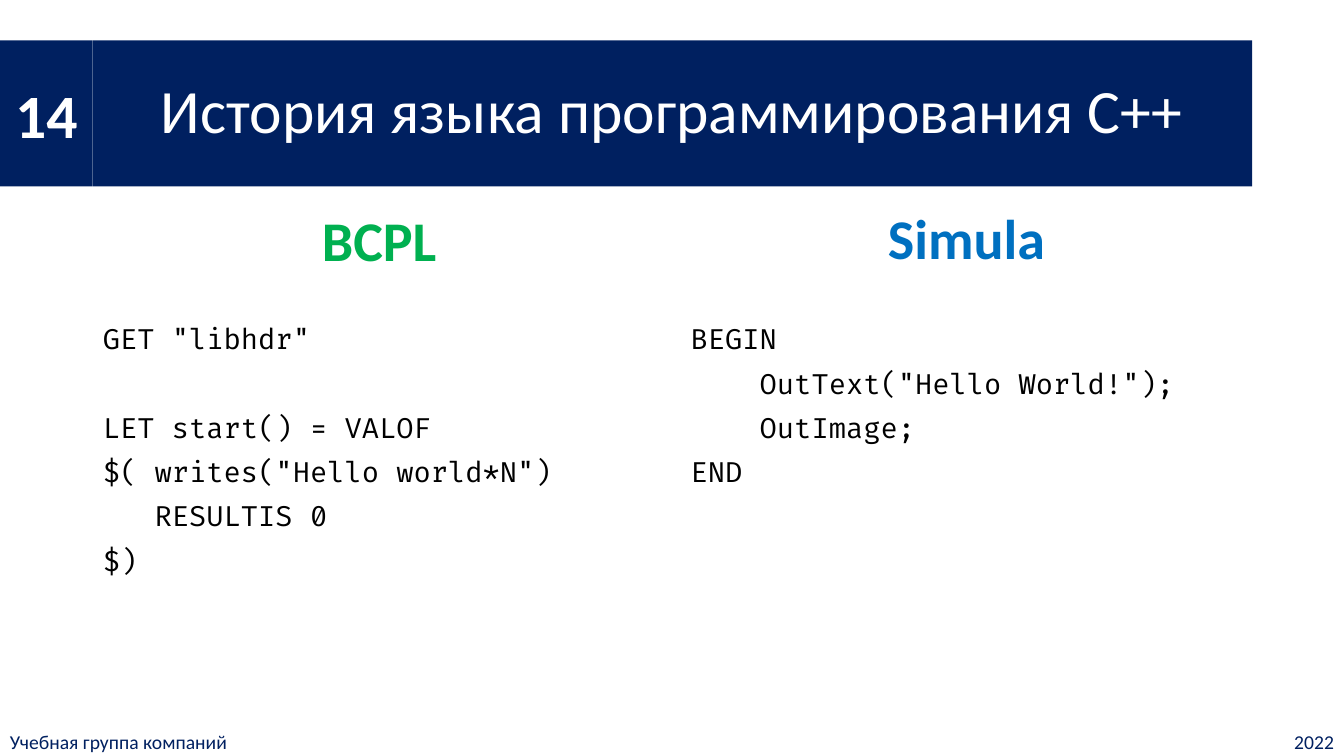
"""Build the slide that compares a BCPL and a Simula program."""
from lxml import etree
from pptx import Presentation
from pptx.dml.color import RGBColor
from pptx.enum.shapes import MSO_SHAPE
from pptx.enum.text import MSO_ANCHOR, MSO_AUTO_SIZE, PP_ALIGN
from pptx.oxml.ns import qn
from pptx.util import Inches, Pt

RECTANGLE = MSO_SHAPE.RECTANGLE
TOP, MIDDLE = MSO_ANCHOR.TOP, MSO_ANCHOR.MIDDLE
LEFT, CENTER, RIGHT, JUSTIFY = PP_ALIGN.LEFT, PP_ALIGN.CENTER, PP_ALIGN.RIGHT, PP_ALIGN.JUSTIFY
NO_AUTOFIT = MSO_AUTO_SIZE.NONE
COLORS = {"navy": "002060", "white": "FFFFFF", "black": "000000",
          "green": "00B050", "blue": "0070C0"}
WIDTH, HEIGHT = 13.33, 7.5
MARGIN = 0.92
BAND_TOP, BAND_HEIGHT = 0.4, 1.45
FOOTER_HEIGHT = 0.29
FOOTER_SPLIT = 9.39
CODE_TOP, CODE_HEIGHT = 3.18, 3.59
CODE_GAP, CODE_LINE = 10, 21.6


def place(part, left, top, width, height, fill=None):
    part.left, part.top, part.width, part.height = map(Inches, (left, top, width, height))
    if fill:
        part.fill.solid()
        part.fill.fore_color.rgb = RGBColor.from_string(COLORS[fill])


def write(part, lines, size, color, align, anchor=MIDDLE, bold=False, face="Calibri", spacing=0.9):
    frame = part.text_frame
    frame.word_wrap = True
    frame.auto_size = NO_AUTOFIT
    frame.vertical_anchor = anchor
    gap = 0
    for line in lines:
        if not line:
            gap += CODE_LINE + CODE_GAP
            continue
        paragraph = frame.paragraphs[0] if line is lines[0] else frame.add_paragraph()
        properties = paragraph._p.get_or_add_pPr()
        properties.set("marL", "0")
        properties.set("indent", "0")
        etree.SubElement(properties, qn("a:buNone"))
        paragraph.alignment = align
        paragraph.line_spacing = spacing
        paragraph.space_before = Pt(gap)
        run = paragraph.add_run()
        run.text = line
        for name, value in {"size": Pt(size), "name": face, "bold": bold}.items():
            setattr(run.font, name, value)
        run.font.color.rgb = RGBColor.from_string(COLORS[color])
        gap = CODE_GAP


deck = Presentation()
deck.slide_width, deck.slide_height = Inches(WIDTH), Inches(HEIGHT)
slide = deck.slides.add_slide(deck.slide_layouts[4])
title, *bodies = slide.placeholders

place(title, MARGIN, BAND_TOP, 11.5, BAND_HEIGHT, "navy")
write(title, ["История языка программирования C++"], 44, "white", CENTER)

footer_top = HEIGHT - FOOTER_HEIGHT
bars = [
    ("14", 0, BAND_TOP, MARGIN, BAND_HEIGHT, "navy", 44, "white", CENTER, True),
    ("Учебная группа компаний", 0, footer_top, FOOTER_SPLIT, FOOTER_HEIGHT,
     "white", 14, "navy", LEFT, False),
    ("2022", FOOTER_SPLIT, footer_top, WIDTH - FOOTER_SPLIT, FOOTER_HEIGHT,
     "white", 14, "navy", RIGHT, False),
]
for text, left, top, width, height, fill, size, color, align, bold in bars:
    bar = slide.shapes.add_shape(RECTANGLE, 0, 0, 0, 0)
    bar.shadow.inherit = False
    bar.line.fill.background()
    place(bar, left, top, width, height, fill)
    write(bar, [text], size, color, align, bold=bold, spacing=1.0)

bcpl_code = ['GET "libhdr"', "", "LET start() = VALOF", '$( writes("Hello world*N")',
             "   RESULTIS 0", "$)"]
simula_code = ["BEGIN", '    OutText("Hello World!");', "    OutImage;", "END"]
languages = [
    ("BCPL", "green", 0.94, 2.06, MARGIN, 5.64, JUSTIFY, bcpl_code),
    ("Simula", "blue", 6.75, 2.04, 6.75, 5.67, LEFT, simula_code),
]
for language, heading, program in zip(languages, bodies[::2], bodies[1::2]):
    name, color, heading_left, heading_top, code_left, width, align, code = language
    place(heading, heading_left, heading_top, width, 0.9)
    write(heading, [name], 40, color, CENTER, TOP, bold=True)
    place(program, code_left, CODE_TOP, width, CODE_HEIGHT)
    write(program, code, 20, "black", align, TOP, face="Fira Code")

deck.save("out.pptx")
